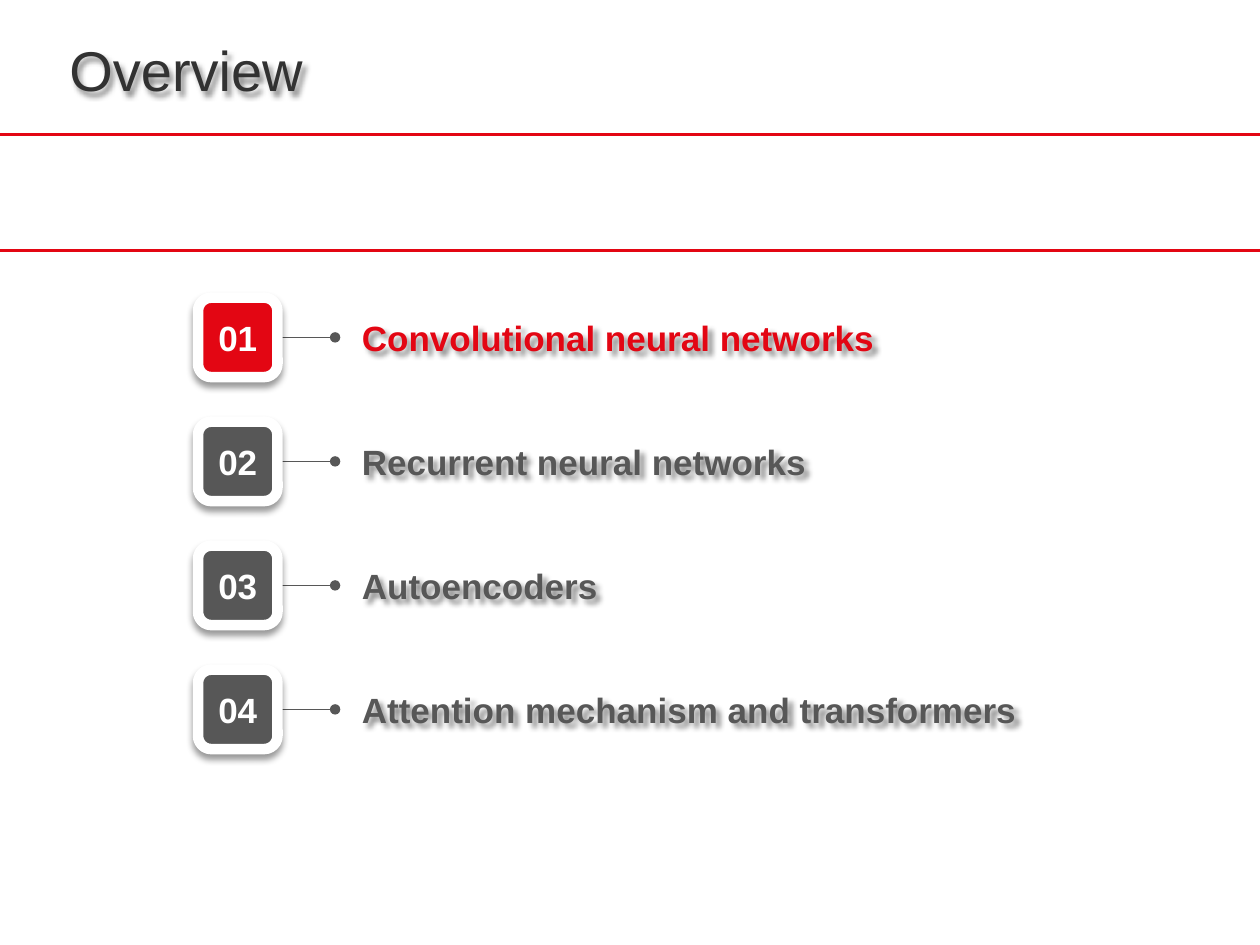
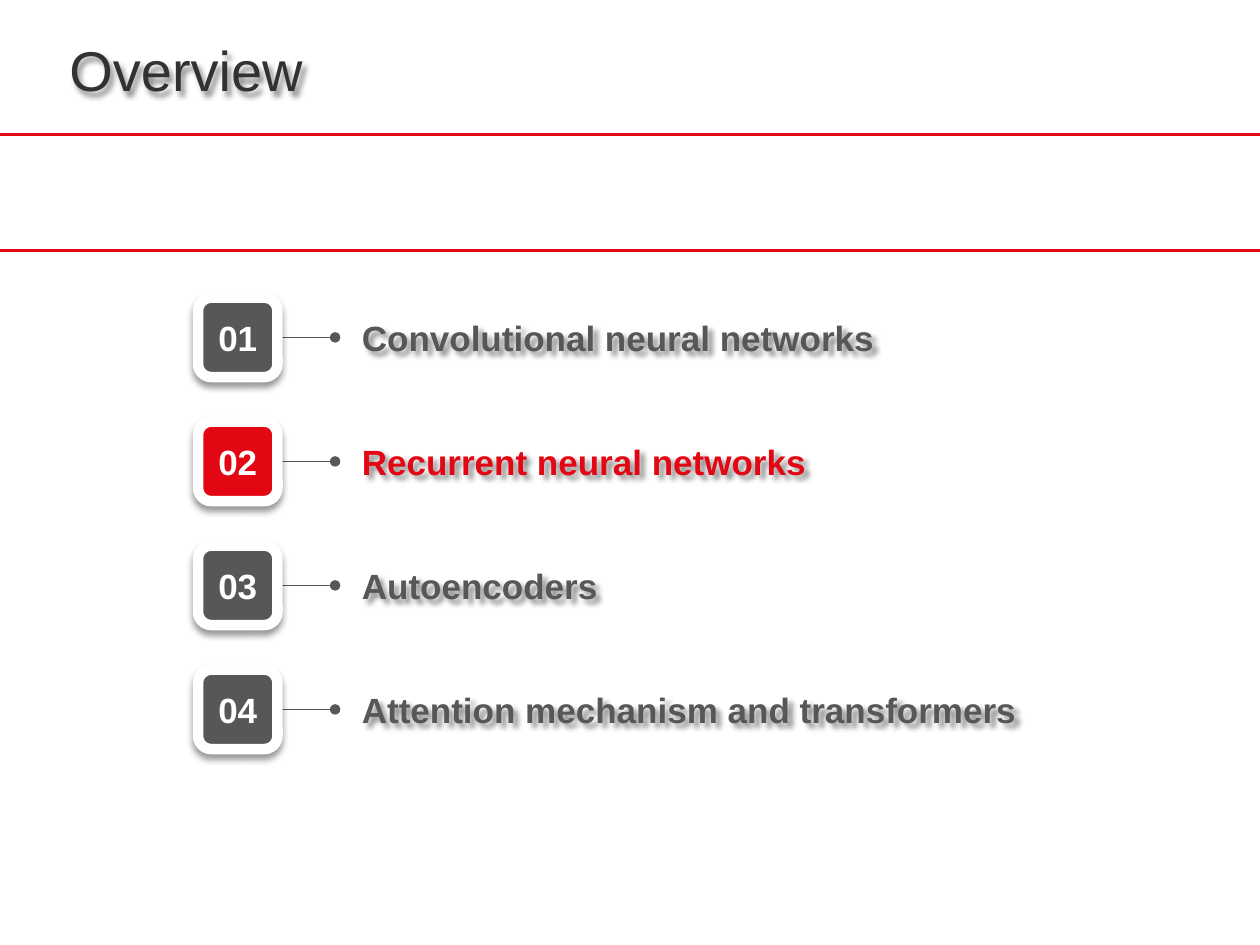
"""Build two overview slides, each highlighting one agenda topic."""
import pptx
import pptx.util
import pptx.dml.color
import pptx.enum.shapes
import pptx.enum.text
import pptx.oxml
import pptx.oxml.ns

Pt = pptx.util.Pt
RED, GREY, DARK, WHITE = "E30613", "575757", "323232", "FFFFFF"
FONT = "Arial"
TOPICS = [
    "Convolutional neural networks",
    "Recurrent neural networks",
    "Autoencoders",
    "Attention mechanism and transformers",
]
WIDTH, HEIGHT = 720, 540
FIRST_Y, PITCH = 192.8, 70.86
BADGE_X, BADGE = 113.2, 45.4
LABEL_H = 56.8


def rgb(color):
    return pptx.dml.color.RGBColor.from_string(color)


def add_effects(sp, blur=0, dist=0, angle=0, alpha=0):
    for old in sp._element.spPr.findall(pptx.oxml.ns.qn("a:effectLst")):
        sp._element.spPr.remove(old)
    shadow = ""
    if alpha:
        shadow = (
            f'<a:outerShdw blurRad="{Pt(blur)}" dist="{Pt(dist)}" dir="{angle * 60000}" '
            f'algn="tl" rotWithShape="0"><a:srgbClr val="000000">'
            f'<a:alpha val="{alpha * 1000}"/></a:srgbClr></a:outerShdw>'
        )
    sp._element.spPr.append(pptx.oxml.parse_xml(
        f'<a:effectLst {pptx.oxml.ns.nsdecls("a")}>{shadow}</a:effectLst>'))


prs = pptx.Presentation()
prs.slide_width, prs.slide_height = Pt(WIDTH), Pt(HEIGHT)

for active in range(2):
    s = prs.slides.add_slide(prs.slide_layouts[6])

    lines = [(0, y, WIDTH, RED, 1.5) for y in (76.8, 143)]
    lines += [(124.6, FIRST_Y + i * PITCH, 191.5, GREY, 0.75) for i in range(len(TOPICS))]
    for x1, y, x2, color, weight in lines:
        cx = s.shapes.add_connector(
            pptx.enum.shapes.MSO_CONNECTOR.STRAIGHT, Pt(x1), Pt(y), Pt(x2), Pt(y))
        cx.line.color.rgb = rgb(color)
        cx.line.width = Pt(weight)
        add_effects(cx)
        if color == GREY:
            for end in ("headEnd", "tailEnd"):
                cx.line._get_or_add_ln().append(pptx.oxml.parse_xml(
                    f'<a:{end} {pptx.oxml.ns.nsdecls("a")} type="oval"/>'))

    texts = [("Overview", 39.6, 5.8, 638, 67.7, 32, DARK, False)]
    for i, topic in enumerate(TOPICS):
        top = FIRST_Y + i * PITCH - LABEL_H / 2
        color = RED if i == active else GREY
        texts.append((topic, 206.8, top, 453.6, LABEL_H, 20, color, True))
    for text, x, y, w, h, size, color, bold in texts:
        sp = s.shapes.add_textbox(Pt(x), Pt(y), Pt(w), Pt(h))
        add_effects(sp, blur=3, dist=3, angle=45, alpha=45)
        tf = sp.text_frame
        tf.word_wrap = True
        tf.vertical_anchor = pptx.enum.text.MSO_ANCHOR.MIDDLE
        tf.margin_left = tf.margin_top = tf.margin_right = tf.margin_bottom = 0
        p = tf.paragraphs[0]
        p.text = text
        p.font.name, p.font.size, p.font.bold = FONT, Pt(size), bold
        p.font.color.rgb = rgb(color)

    for i in range(len(TOPICS)):
        sp = s.shapes.add_shape(
            pptx.enum.shapes.MSO_SHAPE.ROUNDED_RECTANGLE, Pt(BADGE_X),
            Pt(FIRST_Y + i * PITCH - BADGE / 2), Pt(BADGE), Pt(BADGE))
        sp.fill.solid()
        sp.fill.fore_color.rgb = rgb(RED if i == active else GREY)
        sp.line.color.rgb = rgb(WHITE)
        sp.line.width = Pt(6)
        add_effects(sp, blur=4, dist=3, angle=90, alpha=40)
        tf = sp.text_frame
        tf.vertical_anchor = pptx.enum.text.MSO_ANCHOR.MIDDLE
        p = tf.paragraphs[0]
        p.text = f"{i + 1:02}"
        p.alignment = pptx.enum.text.PP_ALIGN.CENTER
        p.font.name, p.font.size, p.font.bold = FONT, Pt(20), True
        p.font.color.rgb = rgb(WHITE)

prs.save("out.pptx")
